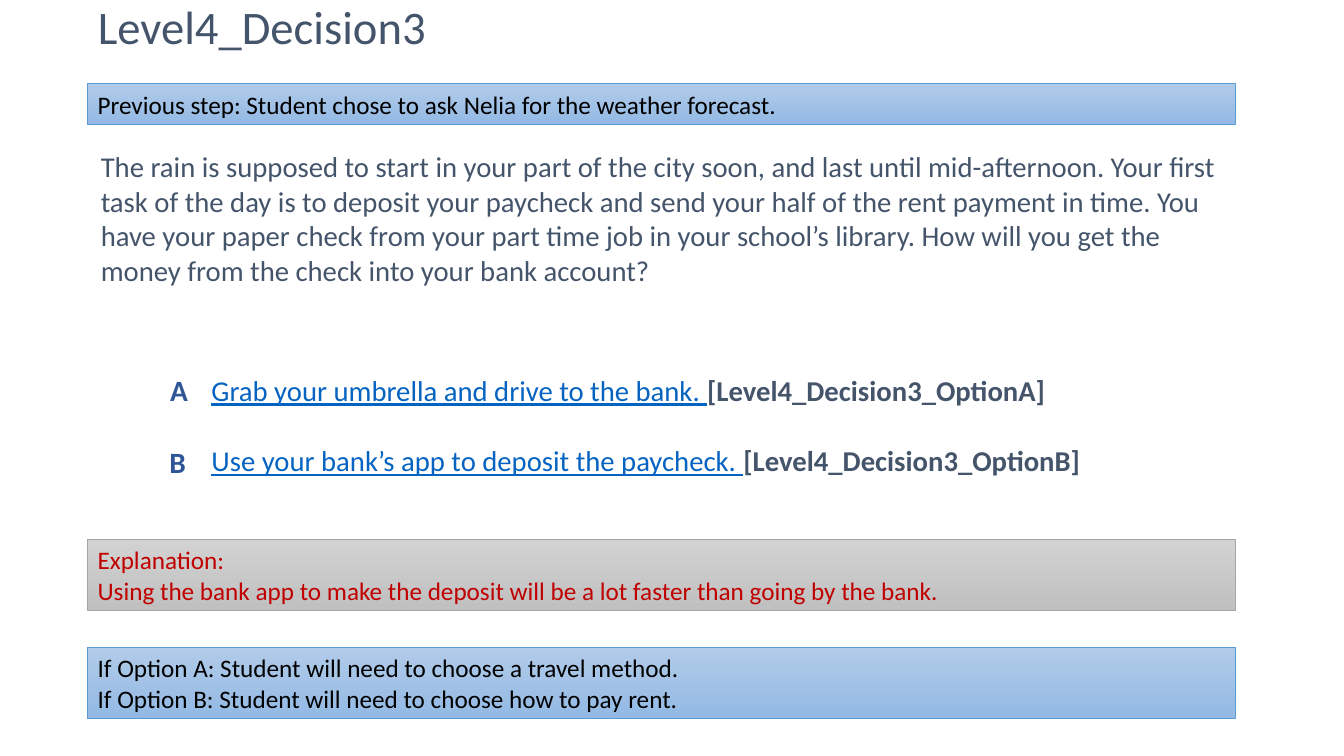
from dataclasses import dataclass

from pptx import Presentation
from pptx.dml.color import RGBColor
from pptx.enum.shapes import MSO_SHAPE
from pptx.enum.text import MSO_ANCHOR, MSO_AUTO_SIZE, PP_ALIGN
from pptx.util import Cm, Pt

FONT = "Calibri"
COLORS = {
    "text": "44546A", "link": "0563C1", "letter": "2F5597",
    "note": "C00000", "black": "000000",
    "blue_top": "B1CBE9", "blue_bottom": "93B9E4", "blue_line": "5B9BD5",
    "gray_top": "D2D2D2", "gray_bottom": "C0C0C0", "gray_line": "A5A5A5",
}
LEFT, WIDTH = 2.21, 28.93


@dataclass
class Run:
    text: str
    size: float
    color: str
    bold: bool = False
    underline: bool = False


@dataclass
class TextBox:
    left: float
    top: float
    width: float
    height: float
    paragraphs: list[list[Run]]
    gap: float = 0


@dataclass
class Panel:
    top: float
    height: float
    tint: str
    color: str
    lines: list[str]


def rgb(name: str) -> RGBColor:
    return RGBColor.from_string(COLORS[name])


def add_run(p, run: Run) -> None:
    r = p.add_run()
    r.text = run.text
    r.font.name = FONT
    r.font.size = Pt(run.size)
    r.font.bold = run.bold
    r.font.underline = run.underline
    r.font.color.rgb = rgb(run.color)


def fill_text(tf, paragraphs: list[list[Run]], gap: float = 0) -> None:
    tf.word_wrap = True
    for i, runs in enumerate(paragraphs):
        p = tf.add_paragraph() if i else tf.paragraphs[0]
        p.alignment = PP_ALIGN.LEFT
        if i and gap:
            p.space_before = Pt(gap)
        for run in runs:
            add_run(p, run)


def add_text_box(s, box: TextBox) -> None:
    sp = s.shapes.add_textbox(Cm(box.left), Cm(box.top), Cm(box.width), Cm(box.height))
    tf = sp.text_frame
    tf.margin_left = tf.margin_right = Cm(0.33)
    tf.margin_top = tf.margin_bottom = Cm(0.18)
    fill_text(tf, box.paragraphs, box.gap)


def add_panel(s, panel: Panel) -> None:
    sp = s.shapes.add_shape(MSO_SHAPE.RECTANGLE, Cm(LEFT), Cm(panel.top),
                            Cm(WIDTH), Cm(panel.height))
    sp.shadow.inherit = False
    sp.fill.gradient()
    sp.fill.gradient_angle = 270
    for stop, end in zip(sp.fill.gradient_stops, ("top", "bottom")):
        stop.color.rgb = rgb(f"{panel.tint}_{end}")
    sp.line.color.rgb = rgb(f"{panel.tint}_line")
    sp.line.width = Pt(0.5)
    sp.text_frame.auto_size = MSO_AUTO_SIZE.SHAPE_TO_FIT_TEXT
    fill_text(sp.text_frame, [[Run(line, 18, panel.color)] for line in panel.lines])


def set_title(s, text: str) -> None:
    sp = s.shapes.title
    sp.left, sp.top, sp.width, sp.height = Cm(LEFT), Cm(0.03), Cm(WIDTH), Cm(1.4)
    tf = sp.text_frame
    tf.auto_size = MSO_AUTO_SIZE.NONE
    tf.vertical_anchor = MSO_ANCHOR.MIDDLE
    fill_text(tf, [[Run(text, 33.3, "text")]])
    tf.paragraphs[0].line_spacing = 0.9


def option(text: str, target: str) -> list[Run]:
    return [Run(text, 20.5, "link", underline=True),
            Run(target, 20.5, "text", bold=True)]


TEXT_BOXES = [
    # Scenario
    TextBox(LEFT, 3.58, WIDTH, 5.61, [[Run(
        "The rain is supposed to start in your part of the city soon, and last until "
        "mid-afternoon. Your first task of the day is to deposit your paycheck and send "
        "your half of the rent payment in time. You have your paper check from your part "
        "time job in your school’s library. How will you get the money from the check "
        "into your bank account?", 20.5, "text")]]),
    # Options
    TextBox(5, 9.22, 26.14, 3.4, [
        option("Grab your umbrella and drive to the bank. ", "[Level4_Decision3_OptionA]"),
        option("Use your bank’s app to deposit the paycheck. ", "[Level4_Decision3_OptionB]"),
    ], gap=25.6),
    # Option letters
    TextBox(3.96, 9.19, 1.52, 1.47, [[Run("A", 21, "letter", bold=True)]]),
    TextBox(3.94, 11.02, 1.57, 1.12, [[Run("B", 21, "letter", bold=True)]]),
]

PANELS = [
    Panel(13.59, 1.8, "gray", "note", [
        "Explanation:",
        "Using the bank app to make the deposit will be a lot faster than going by the bank."]),
    Panel(16.31, 1.8, "blue", "black", [
        "If Option A: Student will need to choose a travel method.",
        "If Option B: Student will need to choose how to pay rent."]),
    Panel(2.11, 1.02, "blue", "black", [
        "Previous step: Student chose to ask Nelia for the weather forecast."]),
]


def main() -> None:
    prs = Presentation()
    prs.slide_width, prs.slide_height = Cm(33.87), Cm(19.05)
    s = prs.slides.add_slide(prs.slide_layouts[5])
    set_title(s, "Level4_Decision3")
    for box in TEXT_BOXES:
        add_text_box(s, box)
    for panel in PANELS:
        add_panel(s, panel)
    prs.save("out.pptx")


if __name__ == "__main__":
    main()
